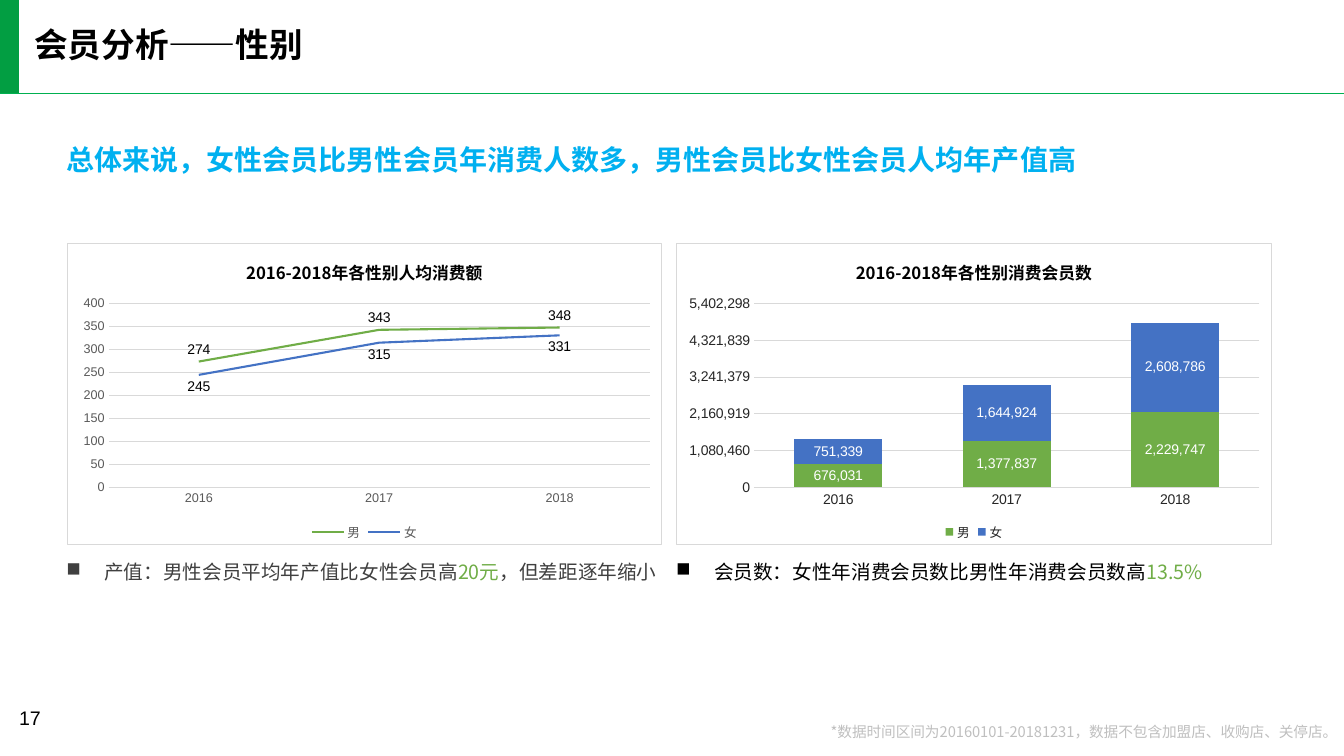
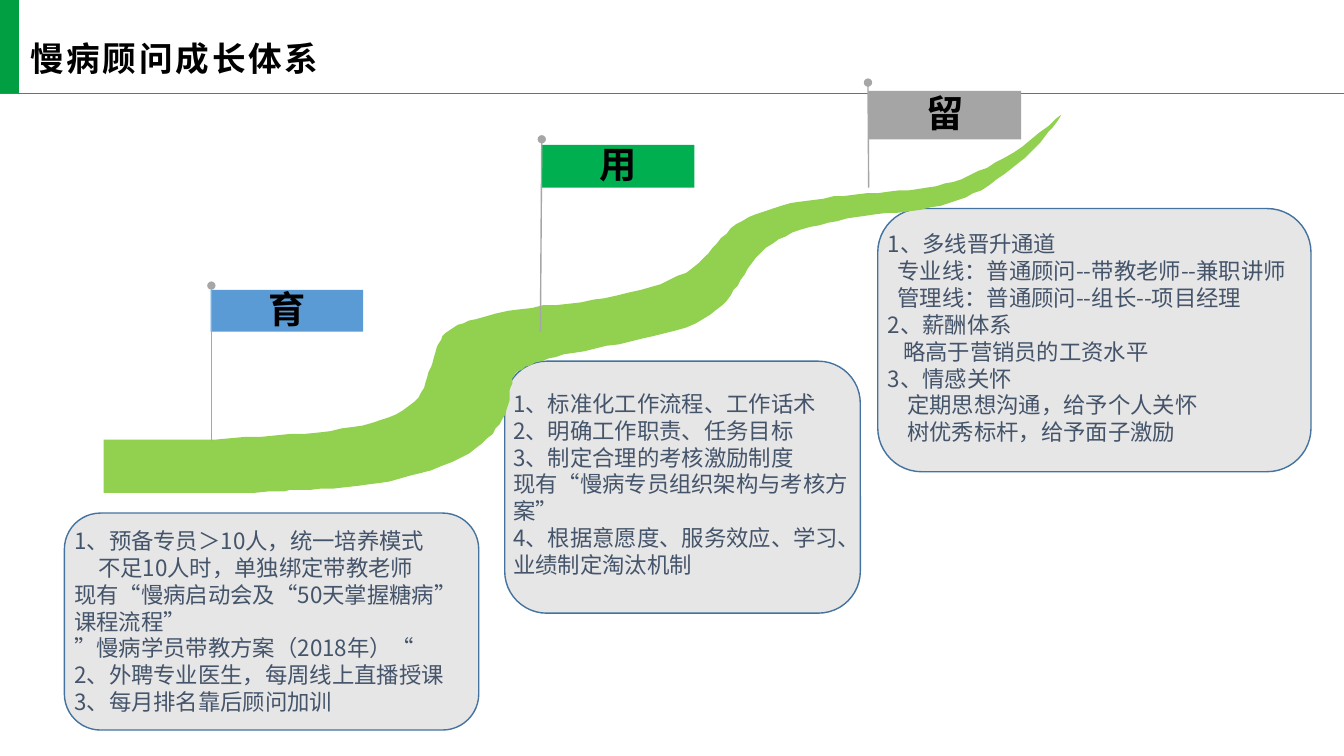
import pptx
import pptx.chart.data
import pptx.dml.color
import pptx.enum.chart
import pptx.enum.shapes
import pptx.enum.text
import pptx.oxml
import pptx.oxml.ns
import pptx.util

Pt = pptx.util.Pt
qn = pptx.oxml.ns.qn
ALIGN = pptx.enum.text.PP_ALIGN
ANCHOR = pptx.enum.text.MSO_ANCHOR
SHAPE = pptx.enum.shapes.MSO_SHAPE
CHART = pptx.enum.chart.XL_CHART_TYPE
LABEL = pptx.enum.chart.XL_LABEL_POSITION

CJK = "Noto Sans CJK SC"
LATIN = "Arial"
COLORS = {
    "black": "000000", "white": "FFFFFF", "band": "029E42", "rule": "00B050",
    "headline": "00B0F0", "note": "BFBFBF", "body": "404040", "card text": "44546A",
    "card": "E7E6E6", "card border": "43739E", "road": "92D050", "pole": "A6A6A6",
    "cultivate": "5B9BD5", "employ": "00B050", "retain": "A5A5A5",
    "male": "70AD47", "female": "4472C4", "grid": "D9D9D9",
    "line axis": "595959", "column axis": "262626",
}
SLIDE_WIDTH, SLIDE_HEIGHT = 960, 540
HEADER_HEIGHT = 67

ROAD_TOP = [
    (74, 314), (142, 314), (197, 311), (244, 306.5), (278, 298), (299, 283.5),
    (306.5, 266), (312, 248.5), (321, 236), (340.5, 227.5), (379.5, 219.5),
    (423.5, 214.5), (465, 205), (494.5, 191.5), (512, 173.5), (530, 157.5),
    (558, 147), (595.5, 140.5), (634.5, 137), (669, 133), (699, 122.5),
    (729.5, 105), (758, 82),
]
ROAD_BOTTOM = [
    (758, 82), (746.5, 98), (728, 116.5), (701, 135.5), (672, 147), (633.5, 152.5),
    (598.5, 157.5), (566.5, 166.5), (543.5, 180.5), (529, 200), (516, 218),
    (490.5, 233.5), (450, 244), (409.5, 252), (382.5, 259), (368.5, 267),
    (365, 276.5), (362, 292.5), (351.5, 309.5), (329, 327), (292.5, 340.5),
    (255.5, 347), (213, 350), (181.5, 351.5), (74, 352),
]


def rgb(name):
    return pptx.dml.color.RGBColor.from_string(COLORS[name])


def style_font(font, size, color, name=LATIN, bold=False):
    font.size, font.name, font.bold = Pt(size), name, bold
    font.color.rgb = rgb(color)


def write(frame, lines, *, size, color="black", font=CJK, bold=False, align=ALIGN.LEFT,
          spacing=1.0, tracking=0, bullet=None, indents=()):
    """Each line is a string or a list of (text, colour); indents are points per line."""
    for index, line in enumerate(lines):
        paragraph = frame.paragraphs[0] if index == 0 else frame.add_paragraph()
        paragraph.alignment, paragraph.line_spacing = align, spacing
        properties = paragraph._p.get_or_add_pPr()
        if index < len(indents):
            properties.set("marL", str(Pt(indents[index])))
            properties.set("indent", str(-Pt(indents[index]) if bullet else 0))
        if bullet:
            mark = properties.makeelement(qn("a:buChar"), {"char": bullet})
            properties.append(mark)
        for text, run_color in [(line, color)] if isinstance(line, str) else line:
            run = paragraph.add_run()
            run.text = text
            style_font(run.font, size, run_color, font, bold)
            run_properties = run._r.get_or_add_rPr()
            if tracking:
                run_properties.set("spc", str(tracking * 100))
            east_asian = run_properties.makeelement(qn("a:ea"), {"typeface": font})
            run_properties.append(east_asian)


def set_frame(frame, insets=(0, 0, 0, 0), anchor=ANCHOR.MIDDLE, wrap=True):
    frame.word_wrap, frame.vertical_anchor = wrap, anchor
    frame.auto_size = pptx.enum.text.MSO_AUTO_SIZE.NONE
    (frame.margin_left, frame.margin_top,
     frame.margin_right, frame.margin_bottom) = map(Pt, insets)
    return frame


def add_text(slide, box, lines, insets=(0, 0, 0, 0), anchor=ANCHOR.MIDDLE, wrap=True, **style):
    frame = slide.shapes.add_textbox(*map(Pt, box)).text_frame
    write(set_frame(frame, insets, anchor, wrap), lines, **style)


def paint(shape, fill, border=None):
    shape.shadow.inherit = False
    shape.fill.solid()
    shape.fill.fore_color.rgb = rgb(fill)
    if border:
        shape.line.color.rgb, shape.line.width = rgb(border), Pt(1)
    else:
        shape.line.fill.background()
    return shape


def add_block(slide, kind, box, fill, border=None):
    return paint(slide.shapes.add_shape(kind, *map(Pt, box)), fill, border)


def add_line(slide, start, end, color, tail=None):
    line = slide.shapes.add_connector(
        pptx.enum.shapes.MSO_CONNECTOR.STRAIGHT, *map(Pt, start + end))
    line.line.color.rgb, line.line.width = rgb(color), Pt(1)
    if tail:
        outline = line.line._get_or_add_ln()
        outline.append(outline.makeelement(qn("a:tailEnd"), {"type": tail}))
    properties = line._element.spPr
    properties.append(properties.makeelement(qn("a:effectLst"), {}))


def add_titled_slide(deck, title, box, insets=(0, 0, 0, 0), **style):
    slide = deck.slides.add_slide(deck.slide_layouts[5])
    add_block(slide, SHAPE.RECTANGLE, (0, 0, 13.5, HEADER_HEIGHT), "band")
    add_line(slide, (0, HEADER_HEIGHT), (SLIDE_WIDTH, HEADER_HEIGHT), "rule")
    heading = slide.shapes.title
    heading.left, heading.top, heading.width, heading.height = map(Pt, box)
    write(set_frame(heading.text_frame, insets), [title], size=24, bold=True, **style)
    return slide


def frame_chart(chart, plot_box):
    """Give the chart a white bordered background and place its inner plot area."""
    space = chart._chartSpace
    names = pptx.oxml.ns.nsdecls("c", "a")
    space.find(qn("c:chart")).addnext(pptx.oxml.parse_xml(
        f'<c:spPr {names}><a:solidFill><a:srgbClr val="{COLORS["white"]}"/></a:solidFill>'
        f'<a:ln w="{Pt(0.75)}"><a:solidFill><a:srgbClr val="{COLORS["grid"]}"/>'
        '</a:solidFill></a:ln></c:spPr>'))
    area = space.find(".//" + qn("c:plotArea"))
    for old in area.findall(qn("c:layout")):
        area.remove(old)
    modes = '<c:layoutTarget val="inner"/><c:xMode val="edge"/><c:yMode val="edge"/>'
    sizes = "".join(f'<c:{key} val="{value}"/>' for key, value in zip("xywh", plot_box))
    area.insert(0, pptx.oxml.parse_xml(
        f'<c:layout {names}><c:manualLayout>{modes}{sizes}</c:manualLayout></c:layout>'))


def add_gender_chart(slide, left, kind, title, men, women, *, axis_color, axis_size, step,
                     top, number_format, label_color, label_places, plot_box):
    data = pptx.chart.data.CategoryChartData(number_format=number_format)
    data.categories = ["2016", "2017", "2018"]
    data.add_series("男", men)
    data.add_series("女", women)
    chart = slide.shapes.add_chart(kind, Pt(left), Pt(173.5), Pt(425.5), Pt(216), data).chart
    style_font(chart.font, 10, axis_color)
    chart.has_title = True
    write(chart.chart_title.text_frame, [title], size=12, bold=True, align=ALIGN.CENTER)
    chart.has_legend = True
    chart.legend.position = pptx.enum.chart.XL_LEGEND_POSITION.BOTTOM
    chart.legend.include_in_layout = False
    style_font(chart.legend.font, 9, axis_color)

    years, amounts = chart.category_axis, chart.value_axis
    for axis in (years, amounts):
        axis.major_tick_mark = axis.minor_tick_mark = pptx.enum.chart.XL_TICK_MARK.NONE
        style_font(axis.tick_labels.font, axis_size, axis_color)
    amounts.minimum_scale, amounts.maximum_scale, amounts.major_unit = 0, top, step
    amounts.tick_labels.number_format = number_format
    amounts.tick_labels.number_format_is_linked = False
    amounts.has_major_gridlines = True
    amounts.format.line.fill.background()
    for line in (years.format.line, amounts.major_gridlines.format.line):
        line.color.rgb, line.width = rgb("grid"), Pt(0.75)

    plot = chart.plots[0]
    plot.vary_by_categories = False
    for series, color, place in zip(plot.series, ("male", "female"), label_places):
        if kind == CHART.LINE:
            series.smooth = False
            series.marker.style = pptx.enum.chart.XL_MARKER_STYLE.NONE
            series.format.line.color.rgb = rgb(color)
            series.format.line.width = Pt(1.5)
        else:
            series.format.fill.solid()
            series.format.fill.fore_color.rgb = rgb(color)
        labels = series.data_labels
        labels.show_value, labels.position = True, place
        labels.number_format, labels.number_format_is_linked = number_format, False
        style_font(labels.font, 10, label_color)
    if kind == CHART.COLUMN_STACKED:
        plot.gap_width, plot.overlap = 91, 100
    frame_chart(chart, plot_box)


def smooth_curve(knots, steps=5):
    """Return Catmull-Rom points through the knots, after the first knot."""
    padded = [knots[0], *knots, knots[-1]]
    points = []
    for a, b, c, d in zip(padded, padded[1:], padded[2:], padded[3:]):
        for t in (step / steps for step in range(1, steps + 1)):
            points.append(tuple(
                (2 * q + (r - p) * t + (2 * p - 5 * q + 4 * r - s) * t ** 2
                 + (3 * q - p - 3 * r + s) * t ** 3) / 2
                for p, q, r, s in zip(a, b, c, d)))
    return points


def add_road(slide):
    outline = smooth_curve(ROAD_TOP) + smooth_curve(ROAD_BOTTOM)
    builder = slide.shapes.build_freeform(*ROAD_TOP[0], scale=Pt(1))
    builder.add_line_segments(outline, close=True)
    paint(builder.convert_to_shape(), "road")


def add_flag(slide, label, left, top, height, color, foot, head):
    flag = add_block(slide, SHAPE.RECTANGLE, (left, top, 109, height), color)
    write(set_frame(flag.text_frame, (7, 0, 7, 3)), [label], size=26.6, bold=True,
          align=ALIGN.CENTER, tracking=3)
    add_line(slide, foot, head, "pole", tail="oval")


def build_gender_slide(deck):
    left, right = 47.5, 483
    slide = add_titled_slide(deck, "会员分析——性别", (24.5, 20, 453, 26), spacing=0.9)
    add_text(slide, (left, 107.5, 868, 18.5),
             ["总体来说，女性会员比男性会员年消费人数多，男性会员比女性会员人均年产值高"],
             size=20, color="headline", bold=True, spacing=Pt(18))
    add_gender_chart(
        slide, left, CHART.LINE, "2016-2018年各性别人均消费额",
        (274, 343, 348), (245, 315, 331), axis_color="line axis", axis_size=9,
        step=50, top=400, number_format="0", label_color="black",
        label_places=(LABEL.ABOVE, LABEL.BELOW), plot_box=(0.07, 0.2, 0.91, 0.61))
    add_gender_chart(
        slide, right, CHART.COLUMN_STACKED, "2016-2018年各性别消费会员数",
        (676031, 1377837, 2229747), (751339, 1644924, 2608786), axis_color="column axis",
        axis_size=10, step=1080459.65, top=5402298.25, number_format="#,##0",
        label_color="white", label_places=(LABEL.CENTER,) * 2,
        plot_box=(0.13, 0.2, 0.85, 0.61))
    takeaways = [
        (left, 441, [("产值：男性会员平均年产值比女性会员高", "body"), ("20元", "male"),
                     ("，但差距逐年缩小", "body")]),
        (right, 431, [("会员数：女性年消费会员数比男性年消费会员数高", "black"),
                      ("13.5%", "male")]),
    ]
    for start, width, runs in takeaways:
        add_text(slide, (start, 393, width, 22.5), [runs], size=14, spacing=1.5,
                 bullet="■", indents=(27,))
    add_text(slide, (582, 517.5, 373.5, 11.5),
             ["*数据时间区间为20160101-20181231，数据不包含加盟店、收购店、关停店。"],
             wrap=False, size=10.5, color="note", align=ALIGN.RIGHT, spacing=0.9)
    add_text(slide, (6.5, 500.5, 65.5, 29), ["17"], insets=(7.2, 3.6, 7.2, 3.6),
             anchor=ANCHOR.TOP, size=14, font=LATIN)


def build_growth_slide(deck):
    slide = add_titled_slide(deck, "慢病顾问成长体系", (13.5, 16, 423.5, 51),
                             insets=(8, 3, 6, 3), tracking=2)
    cards = [
        ((627, 149, 309.5, 188), (627, 160, 336, 162), (0, 7, 7, 0, 11, 0, 14, 14), [
            "1、多线晋升通道", "专业线：普通顾问--带教老师--兼职讲师",
            "管理线：普通顾问--组长--项目经理", "2、薪酬体系", "略高于营销员的工资水平",
            "3、情感关怀", "定期思想沟通，给予个人关怀", "树优秀标杆，给予面子激励"]),
        ((360.5, 258, 254, 180), (359.5, 274, 268, 142.5), (), [
            "1、标准化工作流程、工作话术", "2、明确工作职责、任务目标",
            "3、制定合理的考核激励制度", "现有“慢病专员组织架构与考核方案”",
            "4、根据意愿度、服务效应、学习、业绩制定淘汰机制"]),
        ((46, 366.5, 296, 155), (46, 372, 330.5, 143), (0, 17), [
            "1、预备专员＞10人，统一培养模式", "不足10人时，单独绑定带教老师",
            "现有“慢病启动会及“50天掌握糖病”", "课程流程”",
            "”慢病学员带教方案（2018年）“", "2、外聘专业医生，每周线上直播授课",
            "3、每月排名靠后顾问加训"]),
    ]
    for card_box, _, _, _ in cards:
        add_block(slide, SHAPE.ROUNDED_RECTANGLE, card_box, "card", "card border")
    add_road(slide)
    add_flag(slide, "育", 150.5, 207, 30, "cultivate", (151, 315), (151, 204))
    add_flag(slide, "用", 387, 103.5, 30.5, "employ", (386, 237), (387, 99.5))
    add_flag(slide, "留", 620.5, 65, 34.5, "retain", (620.5, 134), (620, 59))
    for _, text_box, indents, lines in cards:
        add_text(slide, text_box, lines, insets=(7.2, 4.5, 7.2, 3.6), anchor=ANCHOR.TOP,
                 size=16, color="card text", spacing=Pt(19.2), indents=indents)


def main():
    deck = pptx.Presentation()
    deck.slide_width, deck.slide_height = Pt(SLIDE_WIDTH), Pt(SLIDE_HEIGHT)
    build_gender_slide(deck)
    build_growth_slide(deck)
    deck.save("out.pptx")


if __name__ == "__main__":
    main()
